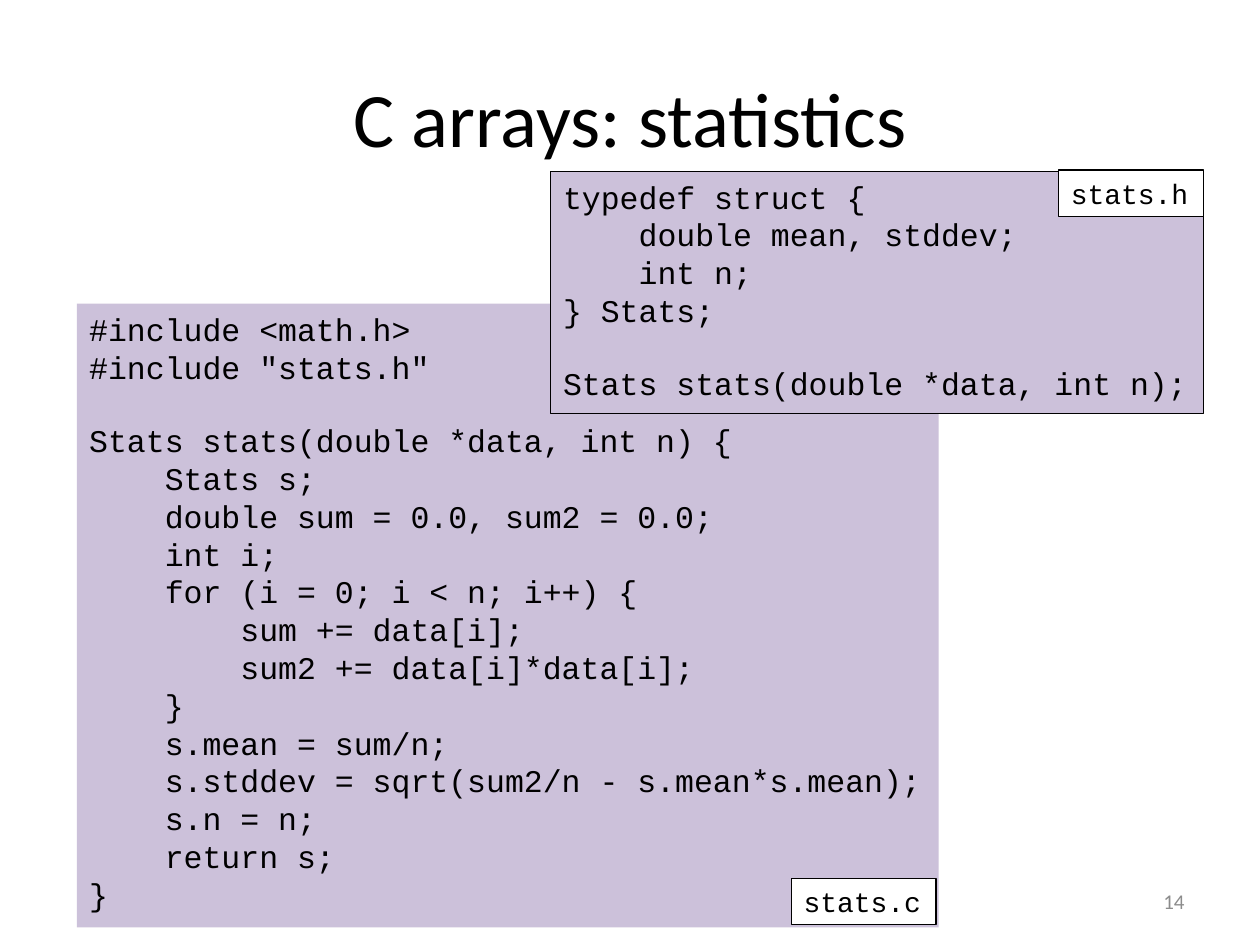
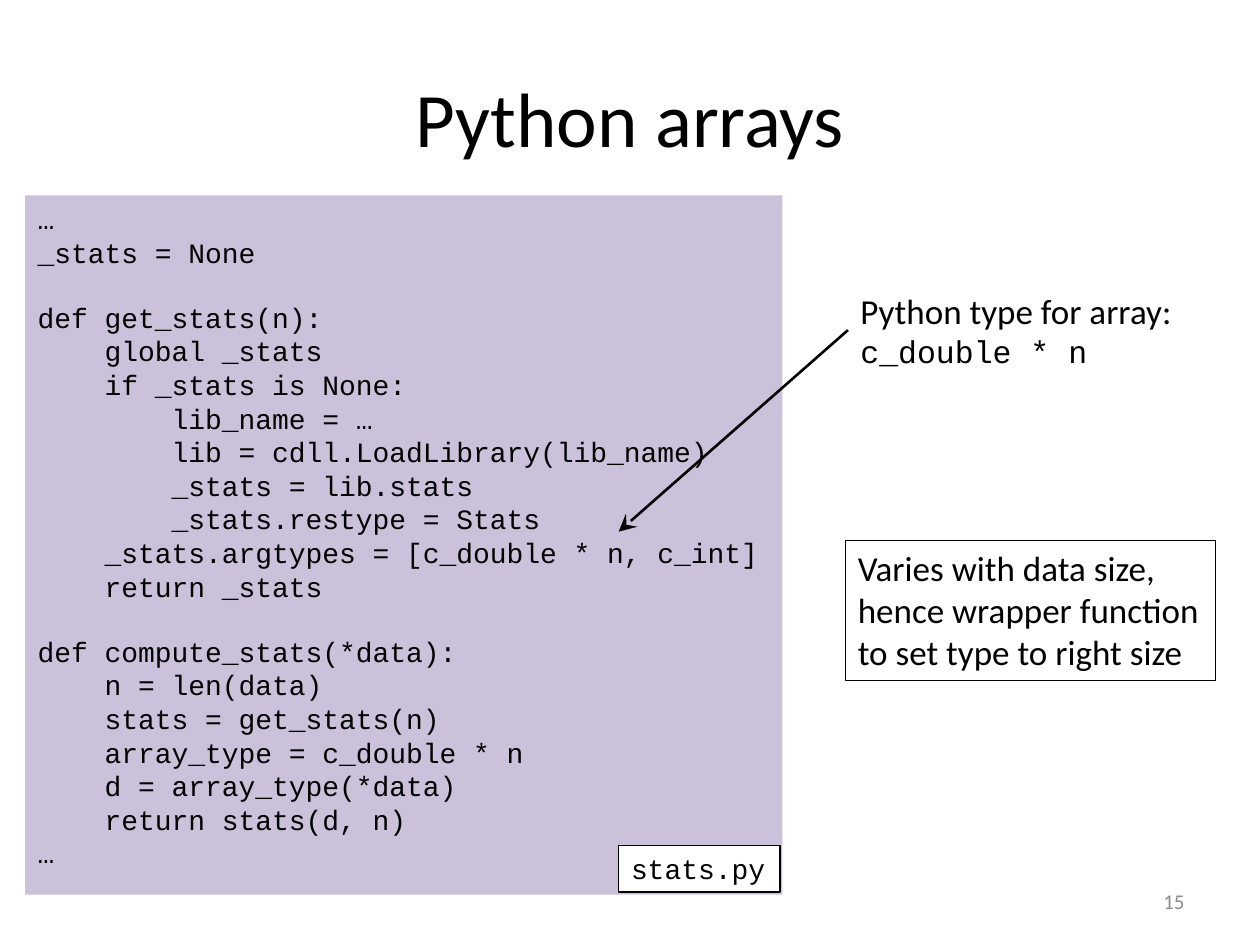
from lxml import etree
from pptx import Presentation
from pptx.dml.color import RGBColor
from pptx.enum.shapes import MSO_CONNECTOR
from pptx.enum.text import MSO_ANCHOR, MSO_AUTO_SIZE, PP_ALIGN
from pptx.oxml.ns import qn
from pptx.util import Inches, Pt

BLACK, WHITE, LILAC, GREY = "000000", "FFFFFF", "CCC1DA", "8C8C8C"
SANS, MONO = "Calibri", "Courier New"
LINE_HEIGHT = 1.133  # height of a code line relative to its font size


def color(value):
    return RGBColor.from_string(value)


def add_text(s, box, lines, size, font=MONO, ink=BLACK, fill=None, border=False,
             align=PP_ALIGN.LEFT, anchor=MSO_ANCHOR.TOP, fit=True):
    """Add a box with one paragraph per line; an empty line becomes spacing."""
    sp = s.shapes.add_textbox(*[Inches(v) for v in box])
    if fill:
        sp.fill.solid()
        sp.fill.fore_color.rgb = color(fill)
    if border:
        sp.line.color.rgb = color(BLACK)
        sp.line.width = Pt(0.75)
    tf = sp.text_frame
    tf.word_wrap = not fit
    tf.auto_size = MSO_AUTO_SIZE.SHAPE_TO_FIT_TEXT if fit else MSO_AUTO_SIZE.NONE
    tf.vertical_anchor = anchor
    p, gap = None, 0
    for line in lines:
        if not line:
            gap += size * LINE_HEIGHT
            continue
        p = tf.add_paragraph() if p else tf.paragraphs[0]
        p.alignment = align
        if gap:
            p.space_before = Pt(round(gap, 1))
            gap = 0
        r = p.add_run()
        r.text = line
        r.font.size = Pt(size)
        r.font.name = font
        r.font.color.rgb = color(ink)
    return tf


prs = Presentation()
prs.slide_width, prs.slide_height = Inches(10), Inches(7.5)

# Titles and slide numbers
slides = []
for number, title in [(14, "C arrays: statistics"), (15, "Python arrays")]:
    s = prs.slides.add_slide(prs.slide_layouts[6])
    add_text(s, (0.5, 0.3, 9, 1.25), [title], 44, SANS, align=PP_ALIGN.CENTER,
             anchor=MSO_ANCHOR.MIDDLE, fit=False)
    add_text(s, (7.17, 6.95, 2.33, 0.4), [str(number)], 12, SANS, GREY,
             align=PP_ALIGN.RIGHT, anchor=MSO_ANCHOR.MIDDLE, fit=False)
    slides.append(s)
c_slide, python_slide = slides

# Code listings
stats_c = """#include <math.h>
#include "stats.h"

Stats stats(double *data, int n) {
    Stats s;
    double sum = 0.0, sum2 = 0.0;
    int i;
    for (i = 0; i < n; i++) {
        sum += data[i];
        sum2 += data[i]*data[i];
    }
    s.mean = sum/n;
    s.stddev = sqrt(sum2/n - s.mean*s.mean);
    s.n = n;
    return s;
}"""

stats_h = """typedef struct {
    double mean, stddev;
    int n;
} Stats;

Stats stats(double *data, int n);"""

stats_py = """…
_stats = None

def get_stats(n):
    global _stats
    if _stats is None:
        lib_name = …
        lib = cdll.LoadLibrary(lib_name)
        _stats = lib.stats
        _stats.restype = Stats
    _stats.argtypes = [c_double * n, c_int]
    return _stats

def compute_stats(*data):
    n = len(data)
    stats = get_stats(n)
    array_type = c_double * n
    d = array_type(*data)
    return stats(d, n)
…"""

# Code panels, each with its file name tag
panels = [
    (c_slide, stats_c, (0.61, 2.41, 6.84, 4.95), 18, False,
     "stats.c", (6.28, 6.97, 1.15, 0.37)),
    (c_slide, stats_h, (4.37, 1.36, 5.18, 1.92), 18, True,
     "stats.h", (8.4, 1.35, 1.15, 0.37)),
    (python_slide, stats_py, (0.2, 1.55, 6.01, 5.55), 16, False,
     "stats.py", (4.91, 6.71, 1.28, 0.37)),
]
for s, code, box, size, border, file_name, tag_box in panels:
    add_text(s, box, code.split("\n"), size, fill=LILAC, border=border)
    add_text(s, tag_box, [file_name], 16, fill=WHITE, border=True)

# Remarks beside the Python code
add_text(python_slide, (6.71, 4.29, 2.94, 1.11),
         ["Varies with data size,", "hence wrapper function", "to set type to right size"],
         20, SANS, border=True)
tf = add_text(python_slide, (6.73, 2.25, 2.69, 0.74), ["Python type for array:"], 20, SANS)
r = tf.add_paragraph().add_run()
r.text = "c_double * n"
r.font.size = Pt(18)
r.font.name = MONO
r.font.color.rgb = color(BLACK)

# Arrow from the remark to the argument types
arrow = python_slide.shapes.add_connector(
    MSO_CONNECTOR.STRAIGHT, Inches(6.73), Inches(2.62), Inches(4.91), Inches(4.22))
arrow.line.color.rgb = color(BLACK)
arrow.line.width = Pt(1.5)
etree.SubElement(arrow.line._get_or_add_ln(), qn("a:tailEnd"), type="stealth", w="lg", len="lg")
etree.SubElement(arrow._element.spPr, qn("a:effectLst"))

prs.save("out.pptx")
